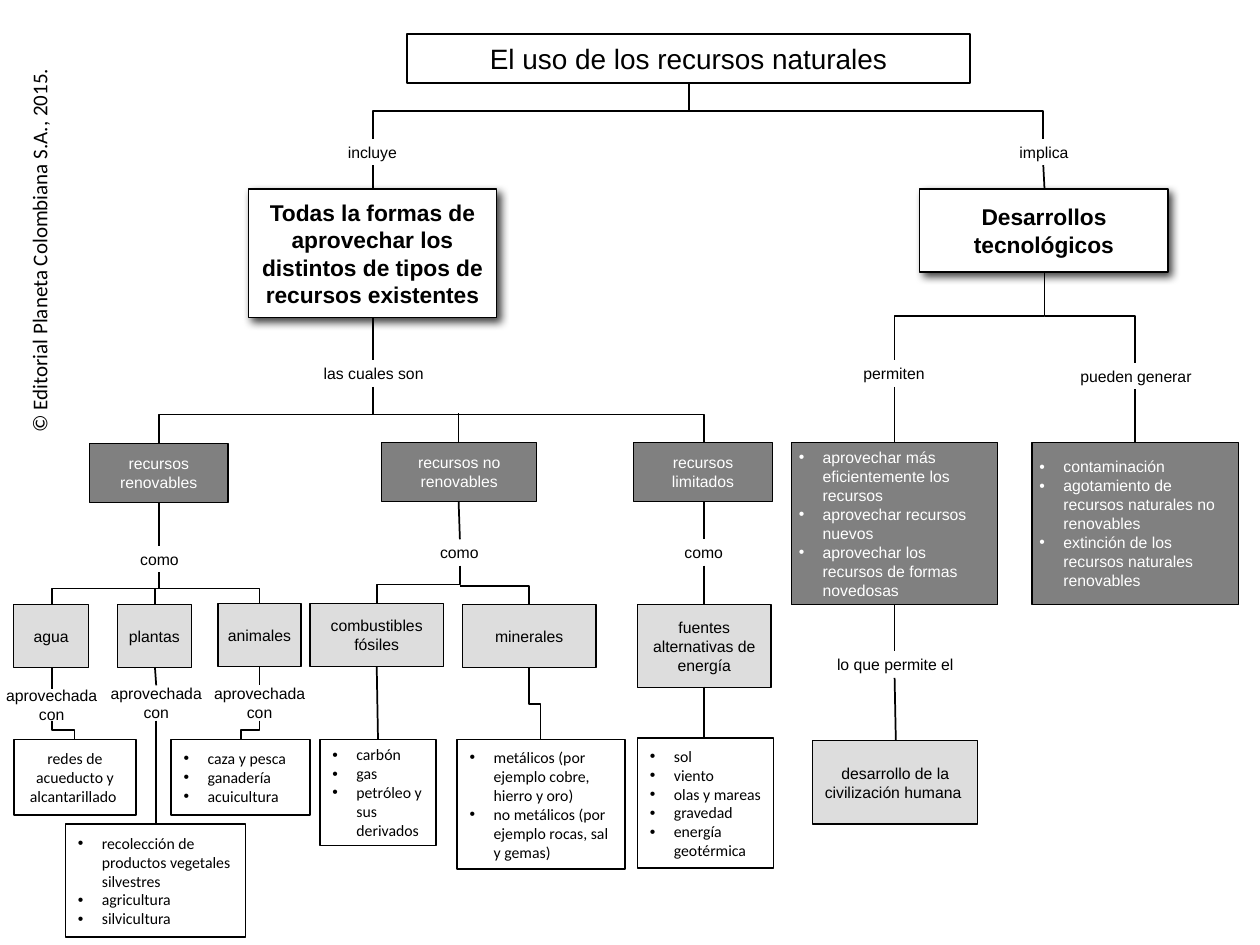
from lxml import etree
from pptx import Presentation
from pptx import util as u
from pptx.dml.color import RGBColor
from pptx.enum import shapes, text
from pptx.oxml import ns

BLACK, WHITE, DARK, LIGHT = "000000", "FFFFFF", "808080", "DDDDDD"


def colour(hex_code):
    return RGBColor.from_string(hex_code)


def sub(parent, tag, **attributes):
    return etree.SubElement(parent, ns.qn(tag), attributes)


class ConceptMap:
    heading_font, detail_font = "Arial", "Calibri"
    body_size = 9
    bullet_indent = u.Inches(0.19)

    def __init__(self, slide):
        self.shapes = slide.shapes

    def fill_text(self, frame, lines, size, font, ink, bold=False,
                  align=text.PP_ALIGN.CENTER):
        frame.text = "\n".join(lines)
        for paragraph in frame.paragraphs:
            paragraph.alignment = align
            for run in paragraph.runs:
                run.font.size = u.Pt(size)
                run.font.name = font
                run.font.bold = bold
                run.font.color.rgb = colour(ink)

    def box(self, place, content, fill=WHITE, ink=BLACK, size=body_size,
            font=heading_font, bold=False, border=0.75, inset=(0.06, 0.05)):
        """A string is centred; a list becomes bullets."""
        rect = self.shapes.add_shape(shapes.MSO_SHAPE.RECTANGLE,
                                     *map(u.Inches, place))
        rect.shadow.inherit = False
        rect.fill.solid()
        rect.fill.fore_color.rgb = colour(fill)
        if border:
            rect.line.color.rgb = colour(BLACK)
            rect.line.width = u.Pt(border)
        else:
            rect.line.fill.background()
        frame = rect.text_frame
        frame.word_wrap = True
        frame.vertical_anchor = text.MSO_ANCHOR.MIDDLE
        frame.margin_left = frame.margin_right = u.Inches(inset[0])
        frame.margin_top = frame.margin_bottom = u.Inches(inset[1])
        if isinstance(content, str):
            self.fill_text(frame, [content], size, font, ink, bold)
        else:
            self.fill_text(frame, content, size, font, ink, bold,
                           text.PP_ALIGN.LEFT)
            for paragraph in frame.paragraphs:
                self.bullet(paragraph)
        return rect

    def bullet(self, paragraph):
        properties = paragraph._p.get_or_add_pPr()
        properties.set("marL", str(self.bullet_indent))
        properties.set("indent", str(-self.bullet_indent))
        sub(properties, "a:buFont", typeface="Arial")
        sub(properties, "a:buChar", char="•")

    def branch(self, place, content):
        rect = self.box(place, content, size=13, bold=True)
        effects = rect._element.spPr.find(ns.qn("a:effectLst"))
        shadow = sub(effects, "a:outerShdw", blurRad=str(u.Pt(5)),
                     dist=str(u.Pt(3)), dir="2700000", algn="tl",
                     rotWithShape="0")
        sub(sub(shadow, "a:srgbClr", val=BLACK), "a:alpha", val="75000")

    def detail(self, place, content):
        self.box(place, content, font=self.detail_font, border=1,
                 inset=(0.1, 0.05))

    def link_word(self, left, top, content, width=1.15, height=0.21):
        self.box((left, top, width, height), content, border=0,
                 inset=(0.02, 0.01))

    def line(self, x1, y1, x2, y2, kind=shapes.MSO_CONNECTOR.STRAIGHT):
        link = self.shapes.add_connector(kind, *map(u.Inches, (x1, y1, x2, y2)))
        link.line.color.rgb = colour(BLACK)
        link.line.width = u.Pt(1)
        sub(link._element.spPr, "a:effectLst")
        return link

    def step(self, x1, y1, x2, y2):
        """Down, across and down again: a turned elbow."""
        middle_x, middle_y = (x1 + x2) / 2, (y1 + y2) / 2
        half_w, half_h = (y2 - y1) / 2, abs(x2 - x1) / 2
        # Leftward steps turn 90 degrees, rightward ones 270 and flipped
        side, turn = (-1, 90) if x2 < x1 else (1, 270)
        link = self.line(middle_x + side * half_w, middle_y - half_h,
                         middle_x - side * half_w, middle_y + half_h,
                         shapes.MSO_CONNECTOR.ELBOW)
        link._element.spPr.find(ns.qn("a:xfrm")).set("rot", str(turn * 60000))

    def corner(self, x1, y1, x2, y2):
        """Across, then down."""
        link = self.line(x1, y1, x2, y2, shapes.MSO_CONNECTOR.ELBOW)
        link._element.spPr.find(ns.qn("a:prstGeom")).set(
            "prst", "bentConnector2")

    def side_note(self, place, content):
        note = self.shapes.add_textbox(*map(u.Inches, place))
        note.rotation = 270
        note.text_frame.word_wrap = False
        note.text_frame.auto_size = text.MSO_AUTO_SIZE.SHAPE_TO_FIT_TEXT
        self.fill_text(note.text_frame, [content], 12, self.detail_font, BLACK,
                       align=text.PP_ALIGN.LEFT)


def main():
    deck = Presentation()
    deck.slide_width, deck.slide_height = u.Inches(10), u.Inches(7.5)
    cmap = ConceptMap(deck.slides.add_slide(deck.slide_layouts[6]))

    # Copyright, title and the two main branches
    cmap.side_note((-1.25, 1.82, 3.12, 0.3),
                   "© Editorial Planeta Colombiana S.A., 2015.")
    cmap.box((3.23, 0.27, 4.47, 0.39), "El uso de los recursos naturales",
             size=16)
    cmap.branch((1.97, 1.5, 1.97, 1.02), "Todas la formas de aprovechar los "
                "distintos de tipos de recursos existentes")
    cmap.branch((7.3, 1.5, 1.97, 0.66), "Desarrollos tecnológicos")

    # Dark boxes: kinds of resources and effects of technology
    for place, content in [
        ((0.71, 3.52, 1.1, 0.47), "recursos renovables"),
        ((3.03, 3.51, 1.23, 0.47), "recursos no renovables"),
        ((5.03, 3.51, 1.1, 0.47), "recursos limitados"),
        ((6.28, 3.51, 1.64, 1.29),
         ["aprovechar más eficientemente los recursos",
          "aprovechar recursos nuevos",
          "aprovechar los recursos de formas novedosas"]),
        ((8.19, 3.51, 1.64, 1.29),
         ["contaminación", "agotamiento de recursos naturales no renovables",
          "extinción de los recursos naturales renovables"]),
    ]:
        cmap.box(place, content, DARK, WHITE)

    # Light boxes: examples
    for place, content in [
        ((0.11, 4.8, 0.59, 0.5), "agua"),
        ((0.93, 4.8, 0.59, 0.5), "plantas"),
        ((1.73, 4.79, 0.66, 0.5), "animales"),
        ((2.46, 4.79, 1.06, 0.5), "combustibles fósiles"),
        ((3.67, 4.8, 1.06, 0.5), "minerales"),
        ((5.06, 4.8, 1.06, 0.66), "fuentes alternativas de energía"),
        ((6.45, 5.88, 1.31, 0.66), "desarrollo de la civilización humana "),
    ]:
        cmap.box(place, content, LIGHT)

    # White boxes: details
    for place, content in [
        ((0.11, 5.87, 0.97, 0.6), "redes de acueducto y alcantarillado "),
        ((0.52, 6.54, 1.43, 0.9),
         ["recolección de productos vegetales silvestres", "agricultura",
          "silvicultura"]),
        ((1.36, 5.87, 1.1, 0.6), ["caza y pesca", "ganadería", "acuicultura"]),
        ((2.54, 5.87, 0.92, 0.84),
         ["carbón", "gas", "petróleo y sus derivados"]),
        ((3.63, 5.87, 1.33, 1.03),
         ["metálicos (por ejemplo cobre, hierro y oro)",
          "no metálicos (por ejemplo rocas, sal y gemas)"]),
        ((5.06, 5.86, 1.08, 1.03),
         ["sol", "viento", "olas y mareas", "gravedad", "energía geotérmica"]),
    ]:
        cmap.detail(place, content)

    # Linking words
    for left, top, content in [
        (2.38, 1.1, "incluye"), (7.71, 1.1, "implica"),
        (2.39, 2.86, "las cuales son"), (6.52, 2.86, "permiten"),
        (8.44, 2.88, "pueden generar"), (0.69, 4.33, "como"),
        (3.07, 4.28, "como"), (5.01, 4.28, "como"),
        (6.53, 5.17, "lo que permite el"),
    ]:
        cmap.link_word(left, top, content)
    for left, top, height in [(0, 5.47, 0.25), (0.83, 5.44, 0.28),
                              (1.65, 5.44, 0.28)]:
        cmap.link_word(left, top, "aprovechada con", 0.82, height)

    # Stepped, cornered and straight links
    for ends in [(5.47, 0.66, 2.96, 1.1), (2.96, 3.07, 5.59, 3.51),
                 (8.29, 2.16, 7.1, 2.86), (1.26, 4.54, 0.41, 4.8),
                 (3.65, 4.49, 2.99, 4.79), (4.2, 5.3, 4.29, 5.87),
                 (0.41, 5.72, 0.59, 5.87), (2.06, 5.72, 1.91, 5.87)]:
        cmap.step(*ends)
    for ends in [(5.47, 0.88, 8.28, 1.1), (2.96, 3.29, 1.26, 3.52),
                 (8.29, 2.51, 9.01, 2.88), (1.26, 4.67, 2.06, 4.79),
                 (3.65, 4.65, 4.2, 4.8)]:
        cmap.corner(*ends)
    for ends in [(2.96, 1.31, 2.96, 1.5), (8.28, 1.31, 8.29, 1.5),
                 (2.96, 2.52, 2.96, 2.86), (3.64, 3.28, 3.64, 3.51),
                 (7.1, 3.07, 7.1, 3.51), (9.01, 3.09, 9.01, 3.51),
                 (1.26, 3.99, 1.26, 4.33), (3.64, 3.98, 3.65, 4.28),
                 (5.59, 3.98, 5.59, 4.28), (5.59, 4.49, 5.59, 4.8),
                 (1.23, 4.67, 1.23, 4.8), (0.41, 5.3, 0.41, 5.47),
                 (1.23, 5.3, 1.24, 5.44), (2.06, 5.29, 2.06, 5.44),
                 (1.24, 5.72, 1.24, 6.54), (2.99, 5.29, 3, 5.87),
                 (5.59, 5.45, 5.59, 5.86), (7.1, 4.8, 7.1, 5.17),
                 (7.1, 5.38, 7.11, 5.88)]:
        cmap.line(*ends)

    deck.save("out.pptx")


if __name__ == "__main__":
    main()
